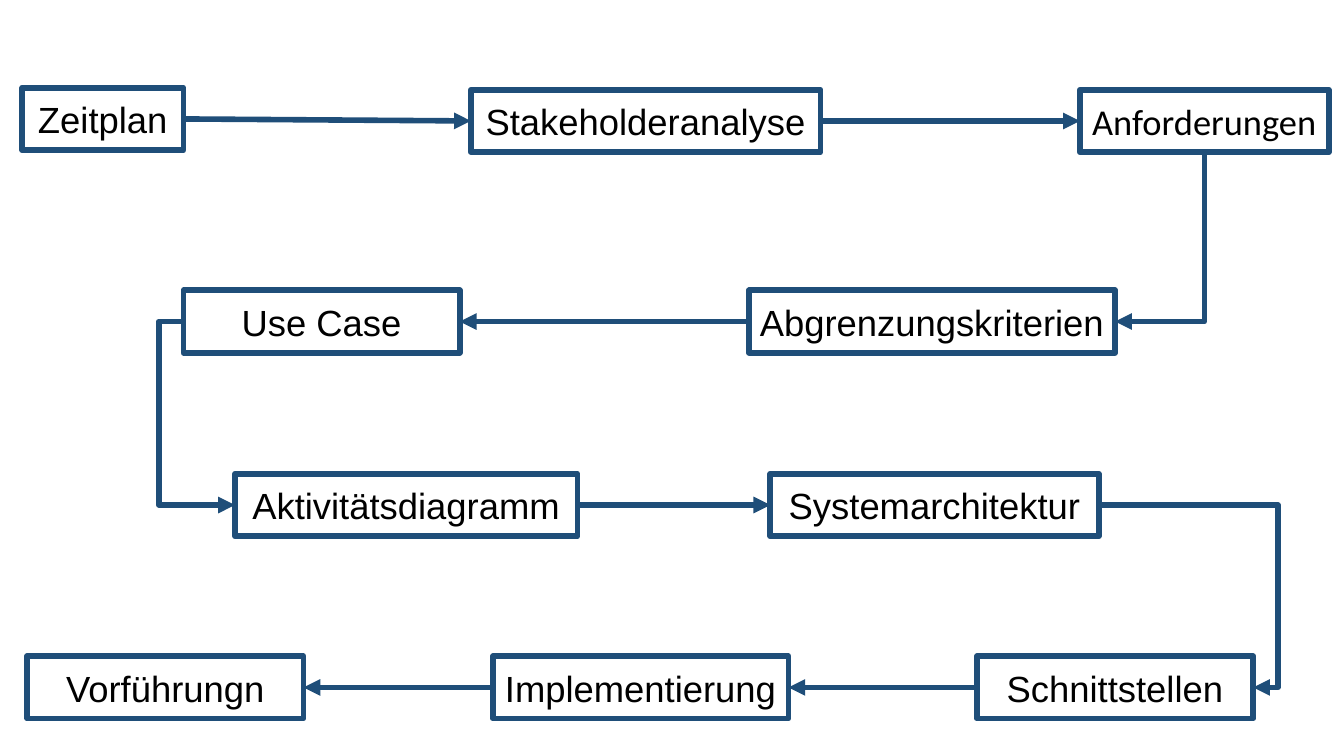
from lxml.etree import SubElement
from pptx import Presentation
from pptx.dml.color import RGBColor
from pptx.enum.shapes import MSO_CONNECTOR as Connector, MSO_SHAPE as Preset
from pptx.enum.text import MSO_ANCHOR as Anchor, PP_ALIGN as Align
from pptx.oxml.ns import qn
from pptx.util import Inches, Pt

# Connection sites of a rectangle
LEFT, BOTTOM, RIGHT = 1, 2, 3


def color(hex_code):
    return RGBColor.from_string(hex_code)


def write(frame, text, font="Arial", size=26, ink="000000", align=Align.CENTER):
    frame.vertical_anchor = Anchor.MIDDLE
    frame.word_wrap = False
    paragraph = frame.paragraphs[0]
    paragraph.alignment = align
    run = paragraph.add_run()
    run.text = text
    run.font.name = font
    run.font.size = Pt(size)
    run.font.color.rgb = color(ink)


class FlowSlide:
    border, paper, weight, step_height = "1F4E79", "FFFFFF", 4, 0.62

    def __init__(self, slide):
        self.shapes = slide.shapes

    def outline(self, line):
        line.color.rgb = color(self.border)
        line.width = Pt(self.weight)

    def step(self, text, left, top, width, font="Arial"):
        step = self.shapes.add_shape(
            Preset.RECTANGLE, Inches(left), Inches(top),
            Inches(width), Inches(self.step_height))
        step.shadow.inherit = False
        step.fill.solid()
        step.fill.fore_color.rgb = color(self.paper)
        self.outline(step.line)
        write(step.text_frame, text, font=font)
        return step

    def arrow(self, start, start_site, end, end_site, kind=Connector.STRAIGHT):
        arrow = self.shapes.add_connector(kind, 0, 0, 0, 0)
        arrow.begin_connect(start, start_site)
        arrow.end_connect(end, end_site)
        self.outline(arrow.line)
        properties = arrow._element.spPr
        SubElement(properties.find(qn("a:ln")), qn("a:tailEnd"), type="triangle")
        SubElement(properties, qn("a:effectLst"))
        return arrow

    def detour(self, start, end, site, bend):
        """Leave and enter on the same side; bend is a share of the width."""
        arrow = self.arrow(start, site, end, site, Connector.ELBOW)
        guides = arrow._element.spPr.find(qn("a:prstGeom")).get_or_add_avLst()
        SubElement(guides, qn("a:gd"), name="adj1",
                   fmla=f"val {round(bend * 100000)}")

    def corner(self, start, end):
        """Go down from start, then left into end: a quarter-turned elbow."""
        arrow = self.arrow(start, BOTTOM, end, RIGHT, Connector.ELBOW)
        width, height = arrow.width, arrow.height
        arrow.left += (width - height) // 2
        arrow.top += (height - width) // 2
        arrow.width, arrow.height = height, width
        properties = arrow._element.spPr
        turn = properties.find(qn("a:xfrm"))
        turn.attrib.pop("flipH", None)
        turn.set("rot", str(90 * 60000))
        properties.find(qn("a:prstGeom")).set("prst", "bentConnector2")


def main():
    deck = Presentation()
    deck.slide_width, deck.slide_height = Inches(13.33), Inches(7.5)
    flow = FlowSlide(deck.slides.add_slide(deck.slide_layouts[6]))

    # Steps, row by row
    schedule = flow.step("Zeitplan", 0.22, 0.87, 1.6)
    stakeholders = flow.step("Stakeholderanalyse", 4.67, 0.89, 3.47)
    requirements = flow.step("Anforderungen", 10.71, 0.89, 2.47, font="Calibri")
    scope = flow.step("Abgrenzungskriterien", 7.43, 2.88, 3.63)
    use_case = flow.step("Use Case", 1.82, 2.88, 2.74)
    activity = flow.step("Aktivitätsdiagramm", 2.33, 4.7, 3.4)
    architecture = flow.step("Systemarchitektur", 7.64, 4.7, 3.26)
    interfaces = flow.step("Schnittstellen", 9.69, 6.51, 2.74)
    implementation = flow.step("Implementierung", 4.89, 6.51, 2.93)
    demo = flow.step("Vorführungn", 0.27, 6.51, 2.74)

    # Arrows within the rows
    for start, end in ((schedule, stakeholders), (stakeholders, requirements),
                       (activity, architecture)):
        flow.arrow(start, RIGHT, end, LEFT)
    for start, end in ((scope, use_case), (interfaces, implementation),
                       (implementation, demo)):
        flow.arrow(start, LEFT, end, RIGHT)

    # Arrows from row to row
    flow.corner(requirements, scope)
    flow.detour(use_case, activity, LEFT, bend=-0.48)
    flow.detour(architecture, interfaces, RIGHT, bend=1.16)

    deck.save("out.pptx")


if __name__ == "__main__":
    main()
